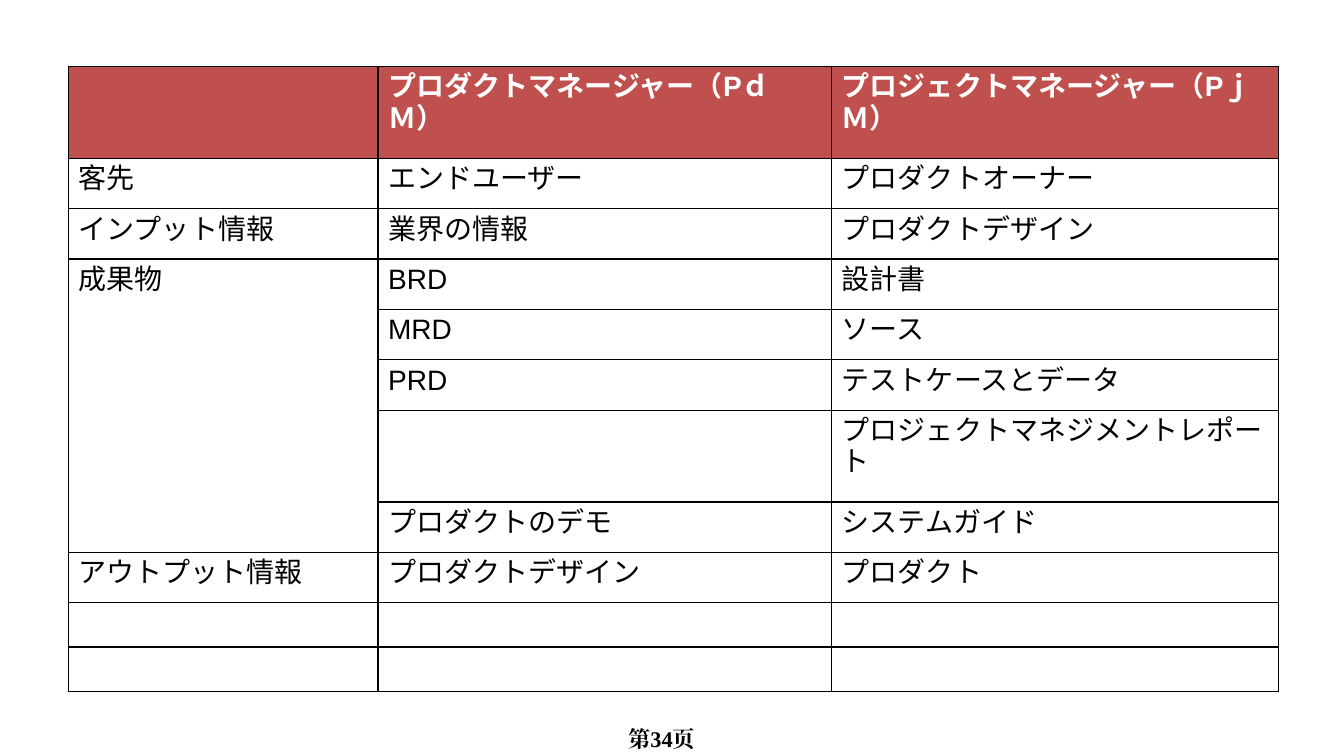
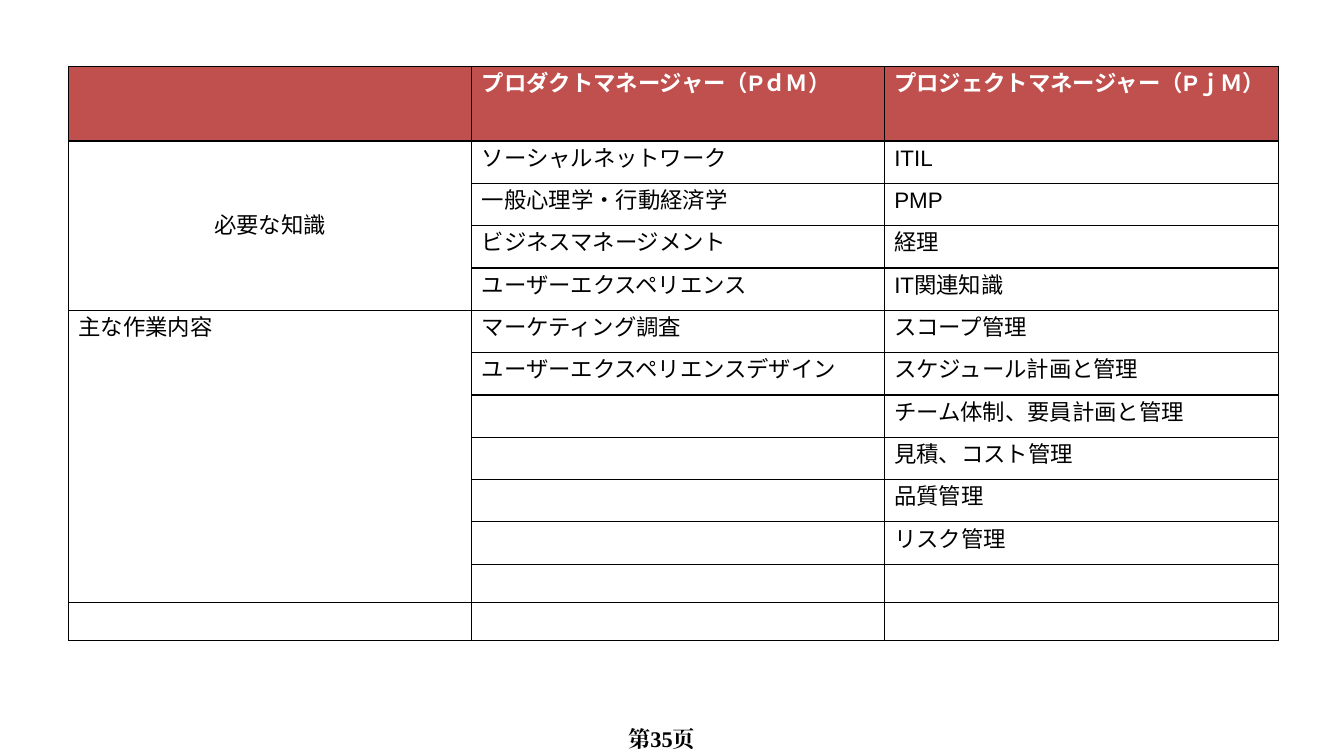
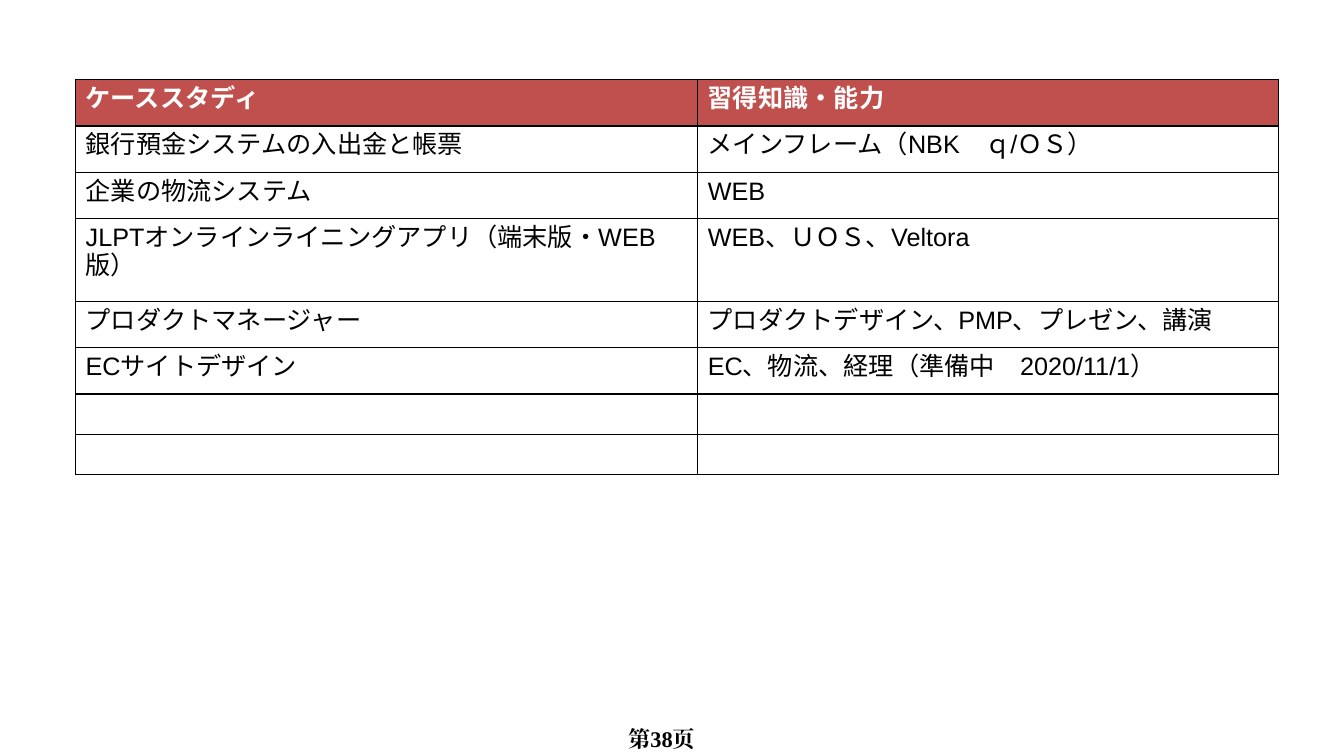
from lxml import etree
from pptx import Presentation
from pptx.dml.color import RGBColor
from pptx.enum import text
from pptx.oxml import ns
from pptx.util import Inches, Pt

BLACK = RGBColor(0x00, 0x00, 0x00)
WHITE = RGBColor(0xFF, 0xFF, 0xFF)
HEADER_RED = RGBColor(0xC0, 0x50, 0x4D)
TABLE_FONT = "Arial"
FOOTER_FONT = "Times New Roman"
FOOTER_BOX = (6.23, 7.19, 0.86, 0.25)
MANAGERS = ("", "プロダクトマネージャー（PｄＭ）", "プロジェクトマネージャー（PｊＭ）")

# Row heights by text size: empty, one line, two lines
ROW_HEIGHTS = {16: (0.38, 0.42, 0.74), 18: (0.4, 0.46, 0.82), 20: (0.44, 0.5, 0.91)}

# None continues the cell above it
ROLES = [
    MANAGERS,
    ("客先", "エンドユーザー", "プロダクトオーナー"),
    ("インプット情報", "業界の情報", "プロダクトデザイン"),
    ("成果物", "BRD", "設計書"),
    (None, "MRD", "ソース"),
    (None, "PRD", "テストケースとデータ"),
    (None, "", "プロジェクトマネジメントレポート"),
    (None, "プロダクトのデモ", "システムガイド"),
    ("アウトプット情報", "プロダクトデザイン", "プロダクト"),
    ("", "", ""),
    ("", "", ""),
]
SKILLS = [
    MANAGERS,
    ("必要な知識", "ソーシャルネットワーク", "ITIL"),
    (None, "一般心理学・行動経済学", "PMP"),
    (None, "ビジネスマネージメント", "経理"),
    (None, "ユーザーエクスペリエンス", "IT関連知識"),
    ("主な作業内容", "マーケティング調査", "スコープ管理"),
    (None, "ユーザーエクスペリエンスデザイン", "スケジュール計画と管理"),
    (None, "", "チーム体制、要員計画と管理"),
    (None, "", "見積、コスト管理"),
    (None, "", "品質管理"),
    (None, "", "リスク管理"),
    (None, "", ""),
    ("", "", ""),
]
CASES = [
    ("ケーススタディ", "習得知識・能力"),
    ("銀行預金システムの入出金と帳票", "メインフレーム（NBK　ｑ/ＯＳ）"),
    ("企業の物流システム", "WEB"),
    ("JLPTオンラインライニングアプリ（端末版・WEB版）", "WEB、ＵＯＳ、Veltora"),
    ("プロダクトマネージャー", "プロダクトデザイン、PMP、プレゼン、講演"),
    ("ECサイトデザイン", "EC、物流、経理（準備中　2020/11/1）"),
    ("", ""),
    ("", ""),
]


def style_font(para, name, size, color, bold):
    """Set one font for Latin and East Asian letters."""
    font = para.font
    font.name, font.size, font.bold = name, Pt(size), bold
    font.color.rgb = color
    latin = para._p.pPr.find(ns.qn("a:defRPr")).find(ns.qn("a:latin"))
    latin.addnext(etree.Element(ns.qn("a:ea"), typeface=name))


def add_borders(cell):
    """Draw a thin black line on each side of the cell."""
    props = cell._tc.get_or_add_tcPr()
    for side in ("lnL", "lnR", "lnT", "lnB"):
        line = etree.SubElement(props, ns.qn("a:" + side), w=str(Pt(1)))
        fill = etree.SubElement(line, ns.qn("a:solidFill"))
        etree.SubElement(fill, ns.qn("a:srgbClr"), val=str(BLACK))


def fill_cell(cell, words, size, is_header):
    add_borders(cell)
    if is_header:
        cell.fill.solid()
        cell.fill.fore_color.rgb = HEADER_RED
    else:
        cell.fill.background()
    para = cell.text_frame.paragraphs[0]
    if words:
        para.text = words
    style_font(para, TABLE_FONT, size, WHITE if is_header else BLACK, is_header)


def merge_continued(table, rows):
    """Join each None cell with the cell that it continues."""
    for col in range(len(rows[0])):
        for top in range(len(rows)):
            bottom = top
            while bottom + 1 < len(rows) and rows[bottom + 1][col] is None:
                bottom += 1
            if rows[top][col] is not None and bottom > top:
                table.cell(top, col).merge(table.cell(bottom, col))


def add_grid(page, left, top, widths, size, rows, wrapped_row):
    """Place a table; wrapped_row is the row whose text takes two lines."""
    empty, single, double = ROW_HEIGHTS[size]
    heights = [single if any(values) else empty for values in rows]
    for index in wrapped_row:
        heights[index] = double
    frame = page.shapes.add_table(
        len(rows), len(widths), Inches(left), Inches(top),
        Inches(sum(widths)), Inches(sum(heights)))
    table = frame.table
    table.first_row = table.horz_banding = False
    for column, width in zip(table.columns, widths):
        column.width = Inches(width)
    for row, height, values in zip(table.rows, heights, rows):
        row.height = Inches(height)
        for cell, words in zip(row.cells, values):
            fill_cell(cell, words, size, values is rows[0])
    merge_continued(table, rows)
    return table


def add_footer(page, number):
    box = page.shapes.add_textbox(*map(Inches, FOOTER_BOX))
    frame = box.text_frame
    frame.margin_left = frame.margin_right = frame.margin_top = frame.margin_bottom = 0
    frame.word_wrap = False
    frame.auto_size = text.MSO_AUTO_SIZE.SHAPE_TO_FIT_TEXT
    para = frame.paragraphs[0]
    para.text = f"第{number}页"
    style_font(para, FOOTER_FONT, 16, BLACK, True)


def add_page(deck, number, *grid):
    page = deck.slides.add_slide(deck.slide_layouts[6])
    add_footer(page, number)
    return add_grid(page, *grid)


def main():
    deck = Presentation()
    deck.slide_width, deck.slide_height = Inches(13.33), Inches(7.5)

    # Roles of the two managers
    add_page(deck, 34, 0.68, 0.66, (3.07, 4.5, 4.43), 20, ROLES, (0, 6))

    # Knowledge and tasks of the two managers
    skills = add_page(deck, 35, 0.68, 0.66, (4, 4.09, 3.91), 16, SKILLS, (0,))
    knowledge = skills.cell(1, 0)
    knowledge.vertical_anchor = text.MSO_ANCHOR.MIDDLE
    knowledge.text_frame.paragraphs[0].alignment = text.PP_ALIGN.CENTER

    # Case studies
    add_page(deck, 38, 0.75, 0.79, (6.17, 5.76), 18, CASES, (3,))

    deck.save("out.pptx")


if __name__ == "__main__":
    main()
